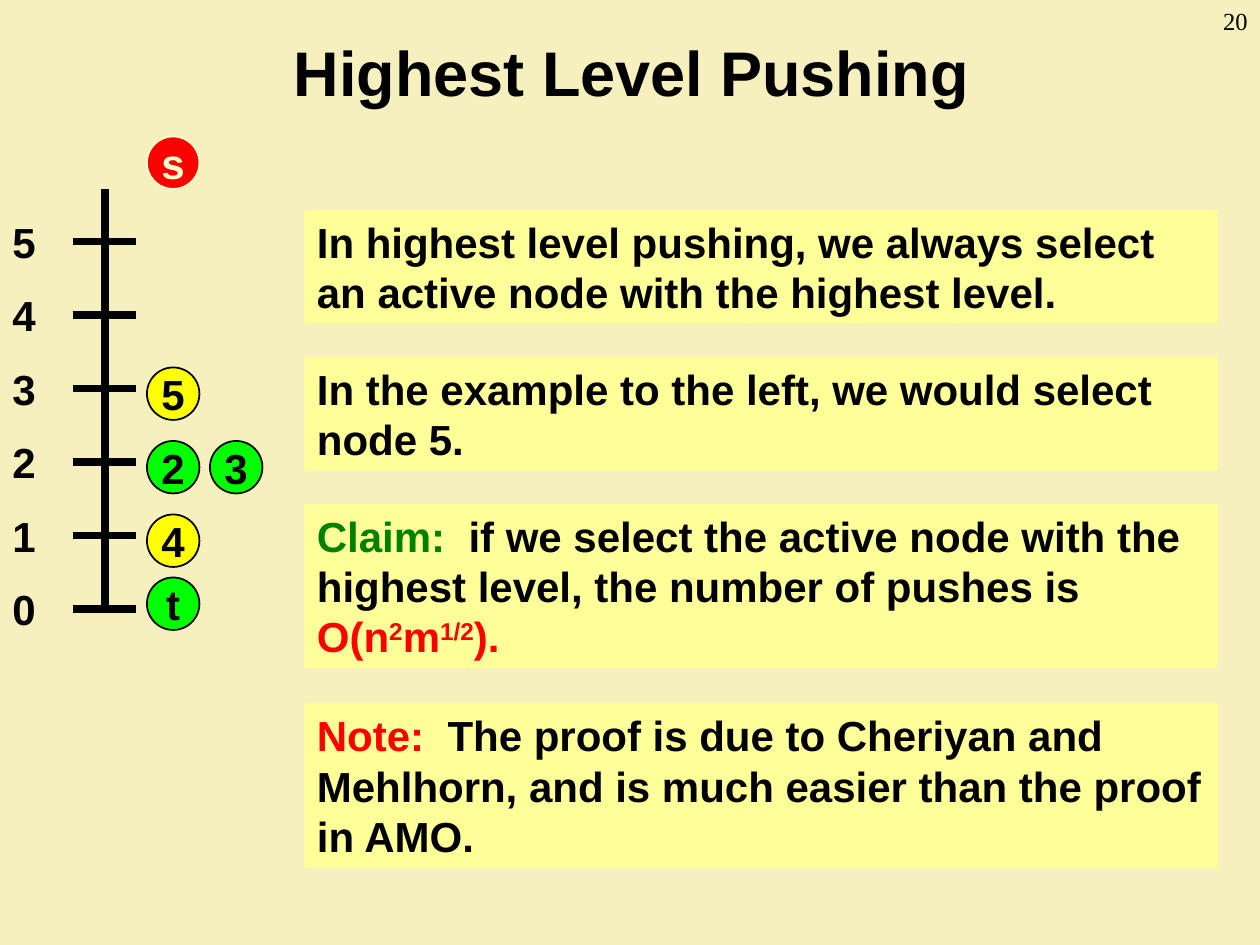
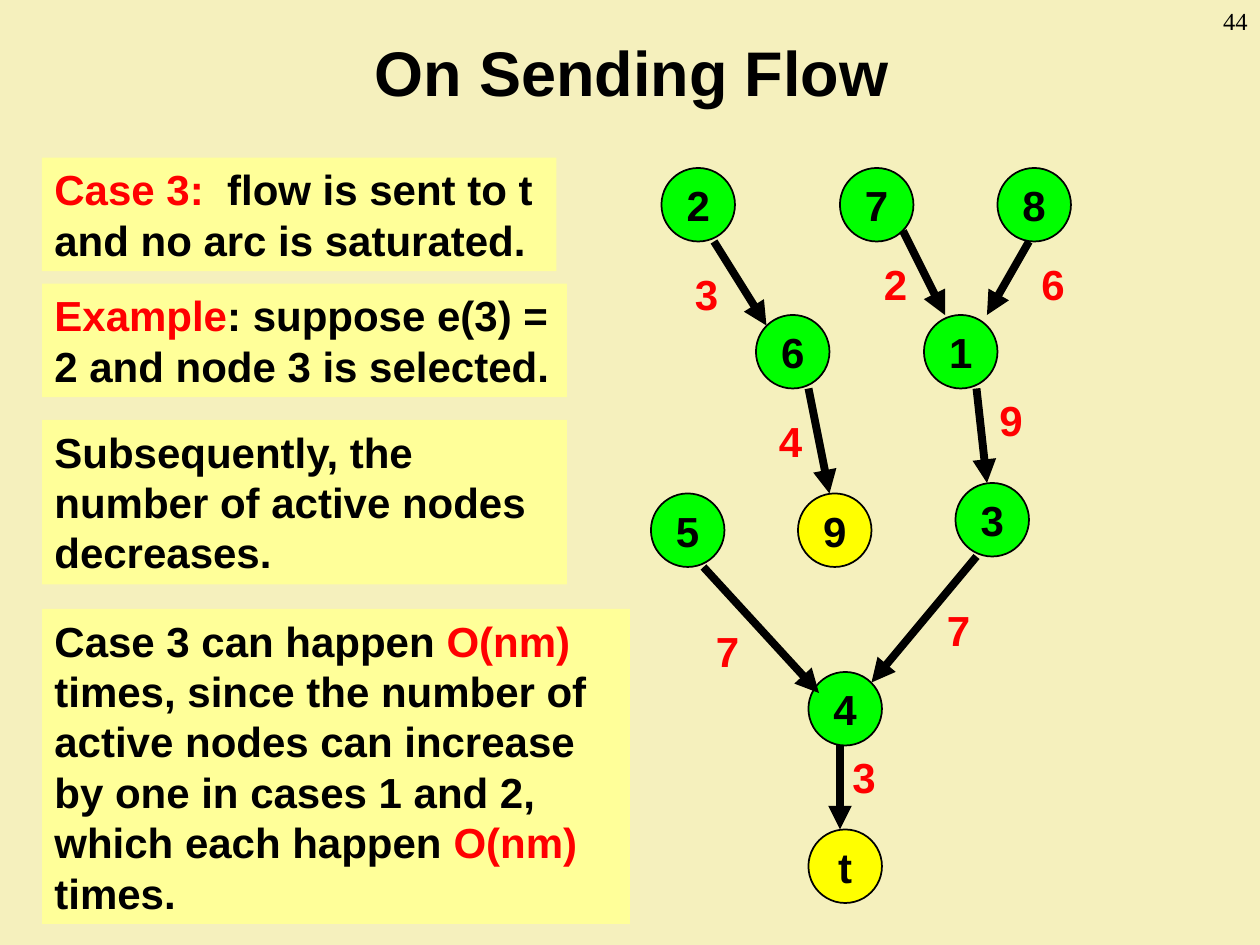
from lxml.etree import SubElement
from pptx import Presentation
from pptx.dml.color import RGBColor
from pptx.enum.shapes import MSO_CONNECTOR as Connector, MSO_SHAPE as Shape
from pptx.enum.text import MSO_ANCHOR as Anchor, PP_ALIGN as Align
from pptx.oxml.ns import qn
from pptx.util import Pt

CREAM = RGBColor(0xF5, 0xF0, 0xBD)
PANEL = RGBColor(0xFF, 0xFF, 0x99)
PALE = RGBColor(0xFF, 0xFF, 0xCC)
BLACK = RGBColor(0, 0, 0)
RED = RGBColor(0xFF, 0, 0)
LIME = RGBColor(0, 0xFF, 0)
YELLOW = RGBColor(0xFF, 0xFF, 0)
GREEN = RGBColor(0, 0x80, 0)

BODY = {"name": "Arial", "size": Pt(24), "bold": True}
TITLE = {**BODY, "size": Pt(36)}
NUMBER = {"name": "Times New Roman", "size": Pt(14), "bold": False}


def write(box, runs, style=BODY, align=Align.LEFT, anchor=Anchor.TOP, wrap=True):
    frame = box.text_frame
    frame.word_wrap = wrap
    frame.vertical_anchor = anchor
    para = frame.paragraphs[0]
    para.alignment = align
    for text, color, *raised in runs:
        span = para.add_run()
        span.text = text
        for name, value in style.items():
            setattr(span.font, name, value)
        span.font.color.rgb = color
        if raised:
            span._r.get_or_add_rPr().set("baseline", "30000")


def paint(page, kind, area, fill, outline=None):
    shape = page.shapes.add_shape(kind, *map(Pt, area))
    shape.shadow.inherit = False
    shape.fill.solid()
    shape.fill.fore_color.rgb = fill
    if outline is None:
        shape.line.fill.background()
    else:
        shape.line.color.rgb = outline
        shape.line.width = Pt(1)
    return shape


LEVEL_GAP = 42
LEVEL_ZERO = 348
level_ys = [LEVEL_ZERO - LEVEL_GAP * level for level in range(6)]

highest_level = {
    "title": "Highest Level Pushing",
    "number": "20",
    "label_color": BLACK,
    "label_width": 30,
    "labels": [(str(level), 0, y - 18) for level, y in enumerate(level_ys)],
    "diameter": 30,
    "nodes": [
        ("s", RED, PALE, 84, 78),
        ("5", YELLOW, BLACK, 84, 210),
        ("2", LIME, BLACK, 84, 252),
        ("3", LIME, BLACK, 120, 252),
        ("4", YELLOW, BLACK, 84, 294),
        ("t", LIME, BLACK, 84, 330),
    ],
    "arrows": False,
    "lines": [(60, 108, 60, LEVEL_ZERO)] + [(42, y, 78, y) for y in level_ys],
    "panels": [
        ((174, 120, 522, 65), [
            ("In highest level pushing, we always select an active node with the highest level.", BLACK)]),
        ((174, 204, 522, 65), [
            ("In the example to the left, we would select node 5.", BLACK)]),
        ((174, 288, 522, 94), [
            ("Claim:", GREEN),
            ("  if we select the active node with the highest level, the number of pushes is ", BLACK),
            ("O(n", RED), ("2", RED, True), ("m", RED), ("1/2", RED, True), (").", RED)]),
        ((174, 402, 522, 94), [
            ("Note:  ", RED),
            ("The proof is due to Cheriyan and Mehlhorn, and is much easier than the proof in AMO.", BLACK)]),
    ],
}

sending_flow = {
    "title": "On Sending Flow",
    "number": "44",
    "label_color": RED,
    "label_width": 36,
    "labels": [
        ("3", 390, 150), ("2", 498, 144), ("6", 588, 144), ("4", 438, 234),
        ("9", 564, 222), ("7", 402, 354), ("7", 534, 342), ("3", 480, 426),
    ],
    "diameter": 42,
    "nodes": [
        ("2", LIME, BLACK, 378, 96),
        ("7", LIME, BLACK, 480, 96),
        ("8", LIME, BLACK, 570, 96),
        ("6", LIME, BLACK, 432, 180),
        ("1", LIME, BLACK, 528, 180),
        ("5", LIME, BLACK, 372, 282),
        ("9", YELLOW, BLACK, 456, 282),
        ("3", LIME, BLACK, 546, 276),
        ("4", LIME, BLACK, 462, 384),
        ("t", YELLOW, BLACK, 462, 474),
    ],
    "arrows": True,
    "lines": [
        (408, 138, 438, 186), (516, 132, 540, 180),
        (588, 138, 564, 180), (462, 222, 474, 282),
        (558, 222, 564, 276), (402, 324, 468, 396),
        (558, 318, 498, 390), (480, 426, 480, 474),
    ],
    "panels": [
        ((24, 90, 294, 65), [
            ("Case 3:  ", RED), ("flow is sent to t and no arc is saturated.", BLACK)]),
        ((24, 162, 300, 65), [
            ("Example", RED), (": suppose e(3) = 2 and node 3 is selected.", BLACK)]),
        ((24, 240, 300, 94), [
            ("Subsequently, the number of active nodes decreases.", BLACK)]),
        ((24, 348, 336, 180), [
            ("Case 3 can happen ", BLACK), ("O(nm)", RED),
            (" times, since the number of active nodes can increase by one in cases 1 and 2, "
             "which each happen ", BLACK),
            ("O(nm)", RED), (" times.", BLACK)]),
    ],
}

deck = Presentation()
deck.slide_width, deck.slide_height = Pt(720), Pt(540)
backdrop = deck.slide_master.background.fill
backdrop.solid()
backdrop.fore_color.rgb = CREAM

for content in (highest_level, sending_flow):
    page = deck.slides.add_slide(deck.slide_layouts[6])

    title_box = page.shapes.add_textbox(Pt(37), Pt(9), Pt(648), Pt(63))
    write(title_box, [(content["title"], BLACK)], TITLE, Align.CENTER, Anchor.MIDDLE)

    for text, left, top in content["labels"]:
        label = page.shapes.add_textbox(Pt(left), Pt(top), Pt(content["label_width"]), Pt(36))
        write(label, [(text, content["label_color"])])

    size = content["diameter"]
    for name, fill, ink, left, top in content["nodes"]:
        node = paint(page, Shape.OVAL, (left, top, size, size), fill, ink)
        write(node, [(name, ink)], BODY, Align.CENTER, Anchor.MIDDLE, False)

    for ends in content["lines"]:
        line = page.shapes.add_connector(Connector.STRAIGHT, *map(Pt, ends))
        line.line.color.rgb = BLACK
        line.line.width = Pt(4.5)
        if content["arrows"]:
            SubElement(line.line._get_or_add_ln(), qn("a:tailEnd"), type="triangle")
        SubElement(line._element.spPr, qn("a:effectLst"))

    for area, runs in content["panels"]:
        write(paint(page, Shape.RECTANGLE, area, PANEL), runs)

    number_box = page.shapes.add_textbox(Pt(660), Pt(0), Pt(60), Pt(36))
    write(number_box, [(content["number"], BLACK)], NUMBER, Align.RIGHT)

deck.save("out.pptx")
